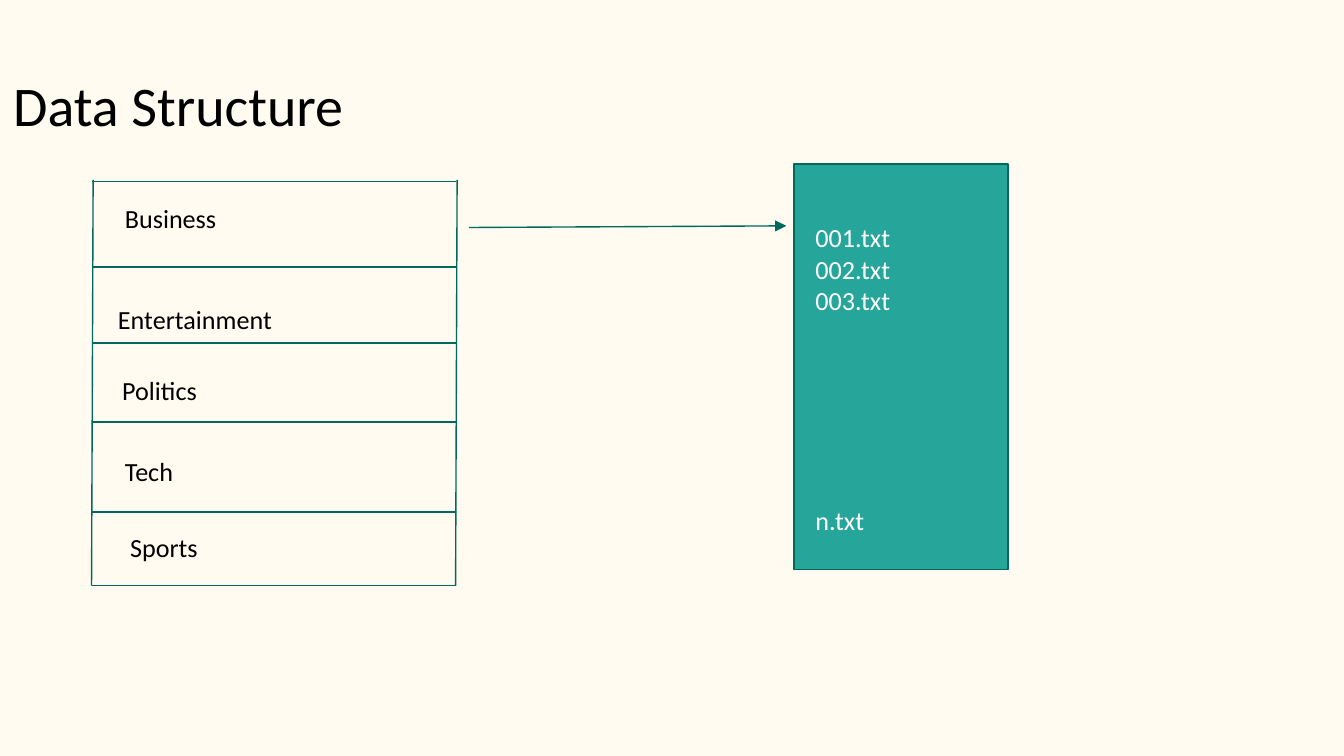
from pptx import Presentation
from pptx.dml.color import RGBColor
from pptx.enum.shapes import MSO_CONNECTOR, MSO_SHAPE
from pptx.enum.text import MSO_ANCHOR, MSO_AUTO_SIZE, PP_ALIGN
from pptx.oxml.ns import qn
from pptx.util import Cm, Pt
from lxml import etree

STRAIGHT = MSO_CONNECTOR.STRAIGHT
RECTANGLE = MSO_SHAPE.RECTANGLE
TOP = MSO_ANCHOR.TOP
NO_FIT = MSO_AUTO_SIZE.NONE
LEFT = PP_ALIGN.LEFT
GREEN = "00695C"
rgb = RGBColor.from_string


def write(sp, lines, size=14, color="000000", last_gap=0):
    tf = sp.text_frame
    tf.word_wrap = True
    tf.auto_size = NO_FIT
    tf.vertical_anchor = TOP
    tf.margin_left = tf.margin_right = Cm(0.25)
    tf.margin_top = tf.margin_bottom = Cm(0.25)
    for i, text in enumerate(lines):
        p = tf.add_paragraph() if i else tf.paragraphs[0]
        p.alignment = LEFT
        p.space_before = Pt(0)
        r = p.add_run()
        r.text = text
        r.font.name = "Calibri"
        r.font.size = Pt(size)
        r.font.color.rgb = rgb(color)
    p.space_before = Pt(last_gap)


def draw_line(x1, y1, x2, y2, arrow=False):
    sp = s.shapes.add_connector(STRAIGHT, Cm(x1), Cm(y1), Cm(x2), Cm(y2))
    sp.line.color.rgb = rgb(GREEN)
    sp.line.width = Pt(0.75)
    if arrow:
        ln = sp.line._get_or_add_ln()
        etree.SubElement(ln, qn("a:tailEnd"), type="triangle")
    etree.SubElement(sp._element.spPr, qn("a:effectLst"))


prs = Presentation()
prs.slide_width, prs.slide_height = Cm(25.4), Cm(14.29)
s = prs.slides.add_slide(prs.slide_layouts[5])
s.background.fill.solid()
s.background.fill.fore_color.rgb = rgb("FFFBF0")

title = s.shapes.title
title.left, title.top, title.width, title.height = Cm(0), Cm(1.09), Cm(23.67), Cm(1.7)
write(title, ["Data Structure"], size=30)

left, right = 1.73, 8.61
for y in (3.43, 5.05, 6.48, 7.98, 9.68, 11.07):
    draw_line(left, y, right, y)
for x in (left, right):
    draw_line(x + 0.03, 3.4, x, 11.07)

categories = [
    ("Business", 2.11, 3.58),
    ("Entertainment", 1.98, 5.49),
    ("Politics", 2.06, 6.83),
    ("Tech", 2.11, 8.36),
    ("Sports", 2.21, 9.8),
]
for name, x, y in categories:
    write(s.shapes.add_textbox(Cm(x), Cm(y), Cm(5.54), Cm(1.12)), [name])

draw_line(8.86, 4.3, 14.86, 4.27, arrow=True)

folder = s.shapes.add_shape(RECTANGLE, Cm(15.01), Cm(3.1), Cm(4.04), Cm(7.67))
folder.shadow.inherit = False
folder.fill.solid()
folder.fill.fore_color.rgb = rgb("26A69A")
folder.line.color.rgb = rgb(GREEN)
folder.line.width = Pt(0.75)

files = s.shapes.add_textbox(Cm(15.16), Cm(3.94), Cm(4.09), Cm(6.5))
write(files, ["001.txt", "002.txt", "003.txt", "n.txt"], color="FFFFFF", last_gap=101)

prs.save("out.pptx")
